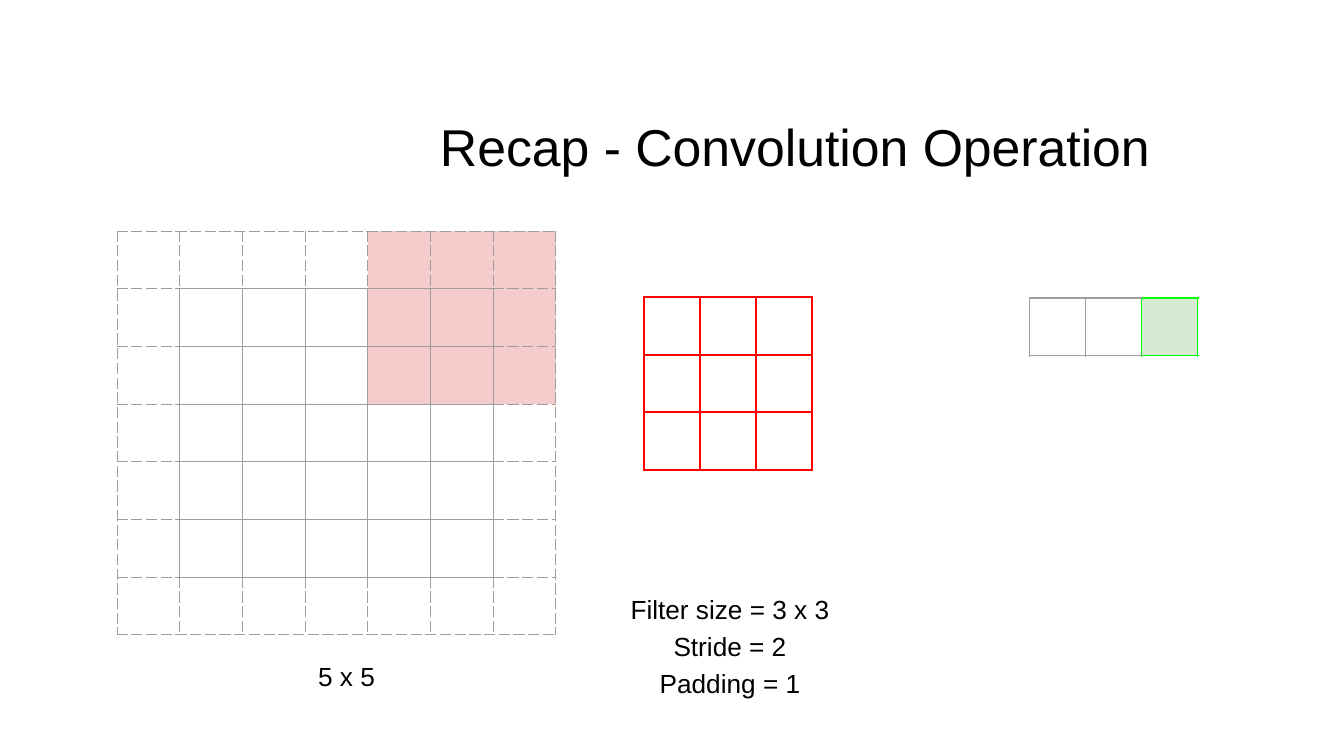
from lxml import etree
from pptx import Presentation
from pptx.dml.color import RGBColor
from pptx.enum.shapes import MSO_CONNECTOR as Connector, MSO_SHAPE as Shape
from pptx.enum.text import MSO_ANCHOR as Anchor, PP_ALIGN as Align
from pptx.oxml.ns import qn
from pptx.util import Pt

PX = 914400 / 100.8  # EMU per px
FONT = "Arial"
BLACK = RGBColor(0x00, 0x00, 0x00)
GREY = RGBColor(0x9E, 0x9E, 0x9E)
RED = RGBColor(0xFF, 0x00, 0x00)
GREEN = RGBColor(0x00, 0xFF, 0x00)
PINK = RGBColor(0xF4, 0xCC, 0xCC)
PALE_GREEN = RGBColor(0xD9, 0xEA, 0xD3)

PADDED = 7  # 5 x 5 input with one ring of padding
FILTER = 3


def px(length):
    return round(length * PX)


def box(left, top, width, height):
    return px(left), px(top), px(width), px(height)


def set_border(cell, side, color, points, dash):
    line = etree.SubElement(cell._tc.get_or_add_tcPr(), qn(f"a:ln{side}"), w=str(Pt(points)))
    fill = etree.SubElement(line, qn("a:solidFill"))
    etree.SubElement(fill, qn("a:srgbClr"), val=str(color))
    etree.SubElement(line, qn("a:prstDash"), val=dash)


def add_grid(slide, size, place, border, fill):
    """border(row, col, side) gives colour, points and dash; fill(row, col) a colour or None."""
    grid = slide.shapes.add_table(size, size, *box(*place)).table
    grid.first_row = grid.horz_banding = False
    for row in range(size):
        for col in range(size):
            cell = grid.cell(row, col)
            for side in "LRTB":
                set_border(cell, side, *border(row, col, side))
            color = fill(row, col)
            if color is None:
                cell.fill.background()
            else:
                cell.fill.solid()
                cell.fill.fore_color.rgb = color


# Input: the padding ring is dashed, the filter window is pink
def input_border(row, col, side):
    last = PADDED - 1
    outer = {"L": col == 0, "R": col == last, "T": row == 0, "B": row == last}[side]
    in_ring = (row if side in "LR" else col) in (0, last)
    return GREY, 0.75, "dash" if outer or in_ring else "solid"


def input_fill(row, col):
    return PINK if row < FILTER and col >= PADDED - FILTER else None


# Filter
def filter_border(row, col, side):
    return RED, 1.5, "solid"


def filter_fill(row, col):
    return None


# Output: a row of cells, the last one green
def add_line(slide, x1, y1, x2, y2, color):
    line = slide.shapes.add_connector(Connector.STRAIGHT, px(x1), px(y1), px(x2), px(y2))
    line.line.color.rgb = color
    line.line.width = Pt(0.75)
    etree.SubElement(line._element.spPr, qn("a:effectLst"))


def add_output(slide, left, top, cell_width, cell_height, count):
    bottom = top + cell_height
    edges = [left + cell_width * i for i in range(count + 1)]
    split, right = edges[-2:]

    current = slide.shapes.add_shape(Shape.RECTANGLE, *box(split, top, cell_width, cell_height))
    current.shadow.inherit = False
    current.fill.solid()
    current.fill.fore_color.rgb = PALE_GREEN
    current.line.fill.background()

    for x in edges:
        add_line(slide, x, top - 1, x, bottom + 1, GREEN if x >= split else GREY)
    for y in (top, bottom):
        add_line(slide, left - 1, y, split, y, GREY)
        add_line(slide, split, y, right + 1, y, GREEN)


def format_text(frame, size, align, anchor, wrap):
    frame.margin_left = frame.margin_right = frame.margin_bottom = 0
    frame.margin_top = px(2)
    frame.vertical_anchor = anchor
    frame.word_wrap = wrap
    for paragraph in frame.paragraphs:
        paragraph.alignment = align
        paragraph.font.size = Pt(size)
        paragraph.font.name = FONT
        paragraph.font.color.rgb = BLACK


def add_caption(slide, place, lines, spacing=1.0):
    frame = slide.shapes.add_textbox(*box(*place)).text_frame
    frame.text = "\n".join(lines)
    format_text(frame, 18.7, Align.CENTER, Anchor.TOP, True)
    for paragraph in frame.paragraphs:
        paragraph.line_spacing = spacing


def set_title(slide, place, text):
    title = slide.shapes.title
    title.left, title.top, title.width, title.height = box(*place)
    title.text_frame.text = text
    format_text(title.text_frame, 37, Align.LEFT, Anchor.MIDDLE, False)


def main():
    deck = Presentation()
    deck.slide_width, deck.slide_height = px(1344), px(756)
    slide = deck.slides.add_slide(deck.slide_layouts[5])

    set_title(slide, (440, 112, 760, 65), "Recap - Convolution Operation")

    # Input, output and filter
    add_grid(slide, PADDED, (117, 231, 439, 404), input_border, input_fill)
    add_output(slide, 1030, 298, 56, 58, 3)
    add_grid(slide, FILTER, (644, 297, 168, 173), filter_border, filter_fill)

    # Captions
    add_caption(slide, (316, 658, 61, 34), ["5 x 5"])
    add_caption(slide, (629, 585, 202, 110),
                ["Filter size = 3 x 3", "Stride = 2", "Padding = 1"], 1.19)

    deck.save("out.pptx")


if __name__ == "__main__":
    main()
